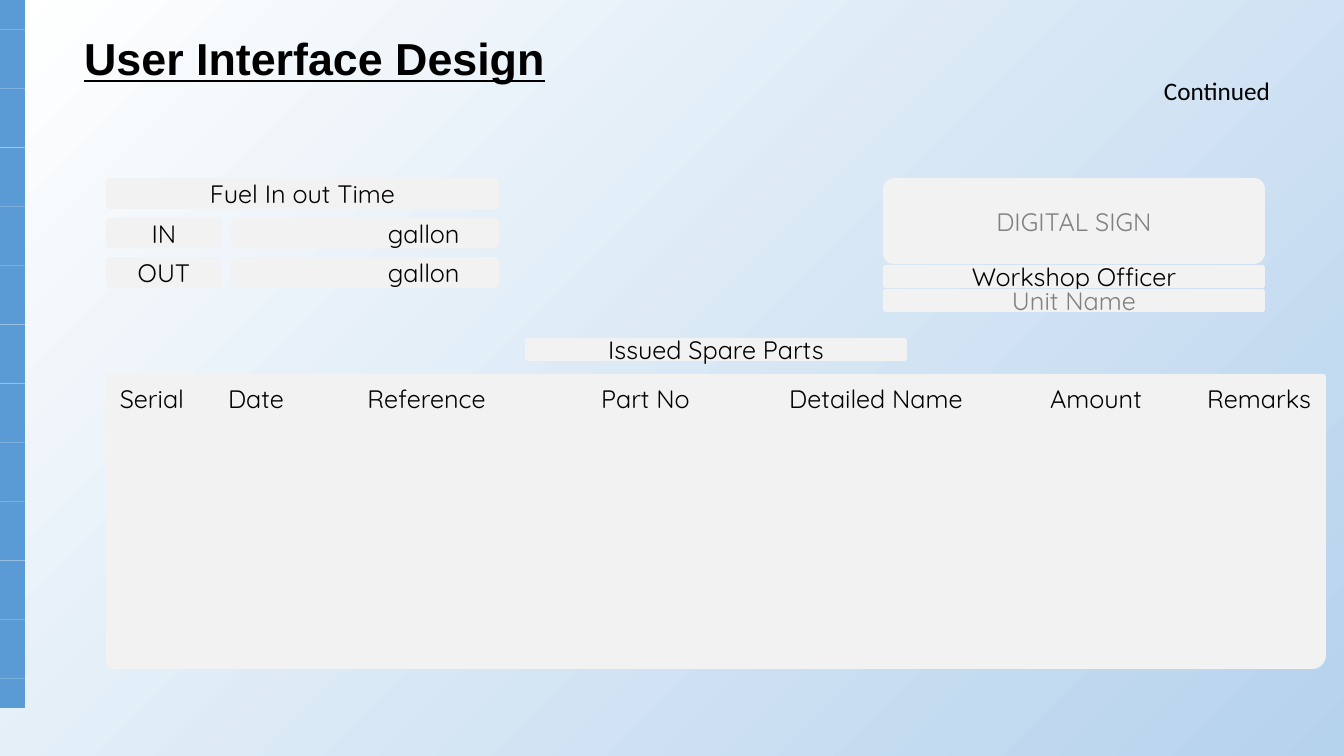
from pptx import Presentation
from pptx.dml.color import RGBColor
from pptx.enum.shapes import MSO_SHAPE
from pptx.enum.text import MSO_ANCHOR, PP_ALIGN
from pptx.util import Pt

PIXEL = 914400 / 100.8
WHITE = RGBColor(0xFF, 0xFF, 0xFF)
BLACK = RGBColor(0, 0, 0)
SKY = RGBColor(0xB5, 0xD2, 0xEC)
BLUE = RGBColor(0x5B, 0x9B, 0xD5)
PANEL = RGBColor(0xF2, 0xF2, 0xF2)
GREY = RGBColor(0x80, 0x80, 0x80)

ROUND = MSO_SHAPE.ROUNDED_RECTANGLE
PLAIN = MSO_SHAPE.RECTANGLE
END_CAP = MSO_SHAPE.ROUND_2_SAME_RECTANGLE
ONE_CORNER = MSO_SHAPE.ROUND_1_RECTANGLE
UPRIGHT_TEXT = {90: "vert270", 270: "vert"}


def emu(*pixels):
    """Turn pixel lengths into EMU."""
    return [round(pixel * PIXEL) for pixel in pixels]


def style_text(paragraph, text, size, font, color, align):
    """Write one paragraph in one style."""
    paragraph.text = text
    paragraph.alignment = align
    paragraph.font.size = Pt(size)
    paragraph.font.name = font
    paragraph.font.color.rgb = color


def add_panel(slide, kind, left, top, width, height, text="", color=BLACK,
              fill=PANEL, turn=0, corners=()):
    """Add a flat shape covering the given box, turned about its centre."""
    if turn in UPRIGHT_TEXT:
        left, top = left + (width - height) / 2, top + (height - width) / 2
        width, height = height, width
    shape = slide.shapes.add_shape(kind, *emu(left, top, width, height))
    shape.rotation = turn
    shape.shadow.inherit = False
    shape.fill.solid()
    shape.fill.fore_color.rgb = fill
    shape.line.fill.background()
    for index, corner in enumerate(corners):
        shape.adjustments[index] = corner
    if text:
        frame = shape.text_frame
        frame.word_wrap = True
        frame.vertical_anchor = MSO_ANCHOR.MIDDLE
        style_text(frame.paragraphs[0], text, 18, "Quicksand", color, PP_ALIGN.CENTER)
        if turn in UPRIGHT_TEXT:
            shape.element.txBody.bodyPr.set("vert", UPRIGHT_TEXT[turn])


def add_label(slide, left, top, width, height, text, color=BLACK):
    """Add a rounded label."""
    add_panel(slide, ROUND, left, top, width, height, text, color, corners=[0.127])


def paint_background(slide):
    """Fill the slide with a diagonal gradient."""
    fill = slide.background.fill
    fill.gradient()
    fill.gradient_angle = 315
    for stop, color in zip(fill.gradient_stops, (WHITE, SKY)):
        stop.color.rgb = color


def add_side_strip(slide, left, top, width, height, tiles=24):
    """Stack equal tiles down the slide edge."""
    step = height / tiles
    for index in range(tiles):
        add_panel(slide, PLAIN, left, top + index * step, width, step, fill=BLUE)


def add_heading(slide, left, top, width, height):
    """Format the title and add the continuation note at the right."""
    title = slide.shapes.title
    title.left, title.top, title.width, title.height = emu(left, top, width, height)
    title.text_frame.vertical_anchor = MSO_ANCHOR.BOTTOM
    paragraph = title.text_frame.paragraphs[0]
    style_text(paragraph, "User Interface Design", 32, "Arial", BLACK, PP_ALIGN.LEFT)
    paragraph.font.bold = True
    paragraph.font.underline = True
    note = slide.shapes.add_textbox(*emu(left + 1080, top + 65, 148, 40))
    note.text_frame.word_wrap = True
    style_text(note.text_frame.paragraphs[0], "Continued", 18, "Calibri", BLACK, PP_ALIGN.LEFT)


def add_fuel_form(slide, left, top, width, row_height):
    """Add the fuel heading and its two labelled fields."""
    add_label(slide, left, top, width, row_height, "Fuel In out Time")
    for row, label in enumerate(("IN", "OUT"), 1):
        row_top = top + row * 39.5
        add_label(slide, left, row_top, 116, row_height, label)
        add_panel(slide, END_CAP, left + 125, row_top, 120, row_height, turn=270)
        add_panel(slide, END_CAP, left + 244, row_top, width - 244, row_height,
                  "gallon", turn=90)


def add_signature(slide, left, top, width):
    """Add the signature field and the two lines under it."""
    add_label(slide, left, top + 87, width, 23, "Workshop Officer")
    add_label(slide, left, top + 111, width, 23, "Unit Name", GREY)
    add_label(slide, left, top, width, 86, "DIGITAL SIGN", GREY)


def add_parts_grid(slide, left, top, head_height, body_height):
    """Add the spare parts columns, rounded at the outer corners."""
    add_label(slide, left + 419, top - 36, 382, 23, "Issued Spare Parts")
    columns = [("Serial", 91), ("Date", 118), ("Reference", 223), ("Part No", 215),
               ("Detailed Name", 246), ("Amount", 194), ("Remarks", 133)]
    head_styles = {"Serial": (END_CAP, 270, (0.062, 0)),
                   "Remarks": (END_CAP, 90, (0.062, 0))}
    body_styles = {"Serial": (ONE_CORNER, 180, (0.082,)),
                   "Remarks": (ONE_CORNER, 90, (0.103,))}
    body_top = top + head_height - 6
    for name, width in columns:
        kind, turn, corners = body_styles.get(name, (PLAIN, 0, ()))
        add_panel(slide, kind, left, body_top, width, body_height,
                  turn=turn, corners=corners)
        kind, turn, corners = head_styles.get(name, (PLAIN, 0, ()))
        add_panel(slide, kind, left, top, width, head_height, name,
                  turn=turn, corners=corners)
        left += width


presentation = Presentation()
presentation.slide_width, presentation.slide_height = emu(1344, 756)
slide = presentation.slides.add_slide(presentation.slide_layouts[5])
paint_background(slide)
add_side_strip(slide, 0, 0, 25, 708)
add_heading(slide, 74, 5, 485, 85)
add_fuel_form(slide, 106, 178, 393, 31)
add_signature(slide, 883, 178, 382)
add_parts_grid(slide, 106, 374, 48, 253)
presentation.save("out.pptx")
